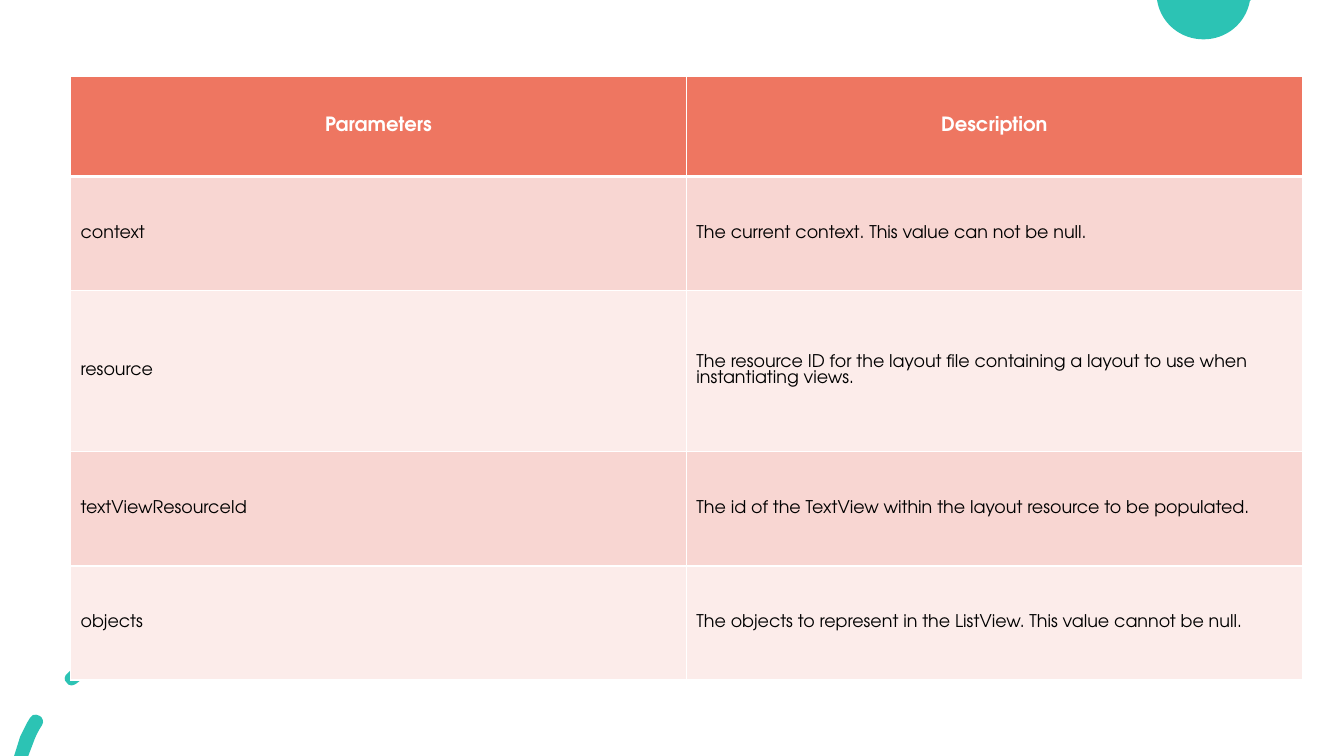
from pptx import Presentation
from pptx.dml.color import RGBColor
from pptx.enum.text import MSO_ANCHOR as Anchor, PP_ALIGN as Align
from pptx.oxml import parse_xml
from pptx.oxml.ns import nsdecls, qn
from pptx.util import Pt

TEAL = RGBColor(0x2C, 0xC3, 0xB4)
CORAL = RGBColor(0xEE, 0x76, 0x61)
ROSE = RGBColor(0xF8, 0xD6, 0xD2)
BLUSH = RGBColor(0xFC, 0xEC, 0xEA)
WHITE = RGBColor(0xFF, 0xFF, 0xFF)
BLACK = RGBColor(0x00, 0x00, 0x00)

UNITS_PER_POINT = 100

ROWS = [
    ("Parameters", "Description"),
    ("context", "The current context. This value can not be null."),
    ("resource", "The resource ID for the layout file containing a layout "
                 "to use when instantiating views."),
    ("textViewResourceId",
     "The id of the TextView within the layout resource to be populated."),
    ("objects",
     "The objects to represent in the ListView. This value cannot be null."),
]
ROW_HEIGHTS = [71.4, 81.6, 115.2, 81.5, 81.5]

# Each contour: its start, then segments of one point (line) or three (curve)
CUT_CIRCLE = [
    ((826.6, 0), [
        [(893.5, 0)], [(892.8, 0.7)],
        [(889.9, 16.6), (876.2, 28.1), (859.7, 28.1)],
        [(843.1, 28.1), (829.4, 16.6), (826.6, 0.7)]]),
]
DASHES = [
    ((25.9, 510.5), [
        [(24.5, 509.8), (22.3, 511.2), (21.6, 512.6)],
        [(18.7, 517), (16.6, 522), (14.4, 526.3)],
        [(10.1, 540)], [(20.2, 540)], [(23.8, 530.6)],
        [(25.2, 526.3), (27.4, 522), (30.2, 517.7)],
        [(31.7, 515.5), (30.2, 511.9), (28.1, 511.2)],
        [(27.4, 510.5), (26.6, 510.5), (25.9, 510.5)]]),
    ((75.6, 463), [
        [(74.9, 463), (74.2, 463), (74.2, 463.7)],
        [(64.8, 468), (55.4, 473.8), (48.2, 481)],
        [(46.1, 482.4), (45.4, 486), (47.5, 487.4)],
        [(48.2, 488.9), (49.7, 489.6), (51.1, 489.6)],
        [(52.6, 489.6), (53.3, 488.9), (54.7, 488.2)],
        [(61.9, 482.4), (69.8, 476.6), (78.5, 472.3)],
        [(80.6, 470.9), (82.1, 468), (80.6, 465.8)],
        [(79.9, 463.7), (77.8, 463), (75.6, 463)]]),
    ((128.9, 450), [
        [(123.8, 450), (118.8, 450.7), (113.8, 451.4)],
        [(110.9, 451.4), (108.7, 454.3), (109.4, 457.2)],
        [(109.4, 459.4), (111.6, 461.5), (113.8, 461.5)],
        [(124.6, 460.1), (133.9, 460.1), (143.3, 460.8)],
        [(146.2, 461.5), (149, 459.4), (149, 457.2)],
        [(149.8, 454.3), (147.6, 451.4), (144.7, 451.4)],
        [(139.7, 450.7), (133.9, 450), (128.9, 450)]]),
]


def to_units(point):
    return tuple(round(value * UNITS_PER_POINT) for value in point)


class SlidePainter:
    def __init__(self, page, font):
        self.page = page
        self.font = font

    def outline(self, contours, color):
        unit = Pt(1) / UNITS_PER_POINT
        builder = self.page.shapes.build_freeform(*to_units(contours[0][0]), scale=unit)
        for index, (start, segments) in enumerate(contours):
            if index:
                builder.move_to(*to_units(start))
            builder.add_line_segments([to_units(segment[-1]) for segment in segments],
                                      close=True)
        shape = builder.convert_to_shape()
        self.bend(shape, [segment for _, segments in contours for segment in segments], unit)
        shape.shadow.inherit = False
        shape.fill.solid()
        shape.fill.fore_color.rgb = color
        shape.line.fill.background()

    def bend(self, shape, segments, unit):
        """Swap straight segments for cubic curves where control points exist."""
        left, top = round(shape.left / unit), round(shape.top / unit)
        lines = list(shape.element.iter(qn("a:lnTo")))
        for line, segment in zip(lines, segments):
            if len(segment) == 3:
                points = "".join(f'<a:pt x="{x - left}" y="{y - top}"/>'
                                 for x, y in map(to_units, segment))
                line.getparent().replace(line, parse_xml(
                    f'<a:cubicBezTo {nsdecls("a")}>{points}</a:cubicBezTo>'))

    def borders(self, cell, widths):
        properties = cell._tc.get_or_add_tcPr()
        for index, (side, width) in enumerate(widths.items()):
            properties.insert(index, parse_xml(
                f'<a:ln{side} {nsdecls("a")} w="{Pt(width)}"><a:solidFill>'
                f'<a:srgbClr val="{WHITE}"/></a:solidFill></a:ln{side}>'))

    def cell(self, cell, text, row):
        header = row == 0
        cell.fill.solid()
        cell.fill.fore_color.rgb = CORAL if header else (BLUSH, ROSE)[row % 2]
        cell.vertical_anchor = Anchor.MIDDLE
        cell.margin_left = cell.margin_right = Pt(7.2)
        cell.margin_top = cell.margin_bottom = Pt(7.2 if header else 10.8)
        cell.text = text
        para = cell.text_frame.paragraphs[0]
        para.alignment = Align.CENTER if header else Align.LEFT
        if not header:
            para.line_spacing = Pt(11.4)
        para.font.name = self.font
        para.font.size = Pt(14 if header else 12.5)
        para.font.bold = header
        para.font.color.rgb = WHITE if header else BLACK
        self.borders(cell, {"L": 1, "R": 1, "T": 3 if row == 1 else 1,
                            "B": 3 if header else 1})

    def table(self, left, top, width, rows, heights):
        columns = len(rows[0])
        table = self.page.shapes.add_table(
            len(rows), columns, Pt(left), Pt(top), Pt(width), Pt(sum(heights))).table
        for column in table.columns:
            column.width = Pt(width / columns)
        for row, (texts, height) in enumerate(zip(rows, heights)):
            table.rows[row].height = Pt(height)
            for column, text in enumerate(texts):
                self.cell(table.cell(row, column), text, row)


def main():
    deck = Presentation()
    deck.slide_width, deck.slide_height = Pt(960), Pt(540)
    page = deck.slides.add_slide(deck.slide_layouts[6])
    painter = SlidePainter(page, "TeX Gyre Adventor")

    # Decoration behind the table
    painter.outline(CUT_CIRCLE, TEAL)
    painter.outline(DASHES, TEAL)

    # Parameter table
    painter.table(50.4, 54.6, 879.8, ROWS, ROW_HEIGHTS)

    deck.save("out.pptx")


if __name__ == "__main__":
    main()
